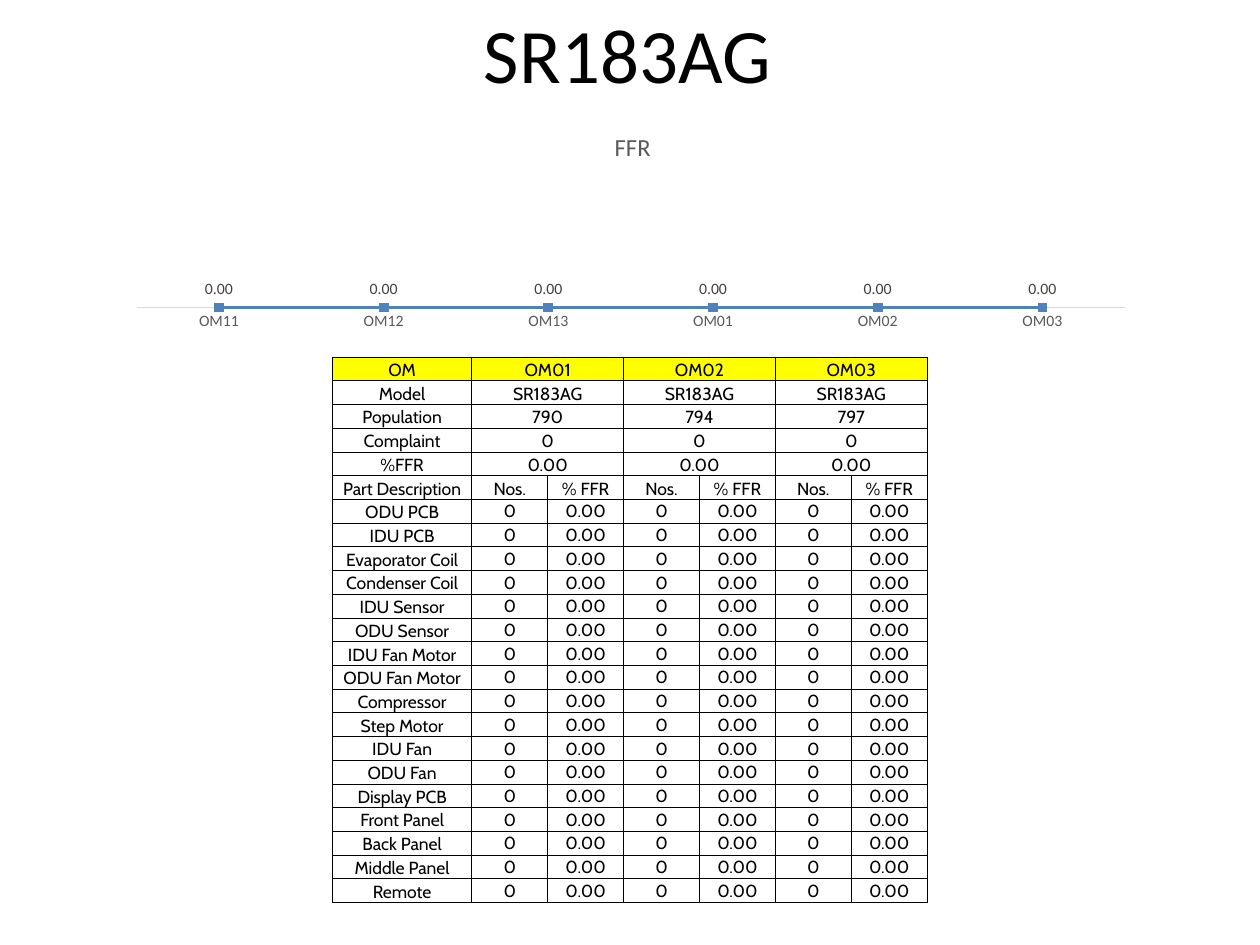
from dataclasses import dataclass

from lxml.etree import SubElement
from pptx import Presentation
from pptx.chart.data import CategoryChartData
from pptx.dml.color import RGBColor
from pptx.enum.chart import XL_CHART_TYPE, XL_LABEL_POSITION, XL_TICK_LABEL_POSITION, XL_TICK_MARK
from pptx.enum.text import MSO_ANCHOR, PP_ALIGN
from pptx.oxml import parse_xml
from pptx.oxml.ns import nsdecls, qn
from pptx.slide import Slide
from pptx.table import Table, _Cell
from pptx.text.text import Font, TextFrame
from pptx.util import Cm, Pt

BLACK = RGBColor(0x00, 0x00, 0x00)
DARK_GRAY = RGBColor(0x40, 0x40, 0x40)
GRAY = RGBColor(0x59, 0x59, 0x59)
LIGHT_GRAY = RGBColor(0xD9, 0xD9, 0xD9)
BLUE = RGBColor(0x4F, 0x81, 0xBD)
YELLOW = RGBColor(0xFF, 0xFF, 0x00)

MODEL = "SR183AG"
CHART_MONTHS = ["OM11", "OM12", "OM13", "OM01", "OM02", "OM03"]
PARTS = [
    "ODU PCB", "IDU PCB", "Evaporator Coil", "Condenser Coil", "IDU Sensor", "ODU Sensor",
    "IDU Fan Motor", "ODU Fan Motor", "Compressor", "Step Motor", "IDU Fan", "ODU Fan",
    "Display PCB", "Front Panel", "Back Panel", "Middle Panel", "Remote",
]
SUMMARY_LABELS = ["OM", "Model", "Population", "Complaint", "%FFR"]


@dataclass(frozen=True)
class Month:
    name: str
    population: int
    complaints: int = 0

    def summary(self) -> list[str]:
        rate = 100 * self.complaints / self.population
        return [self.name, MODEL, str(self.population), str(self.complaints), f"{rate:.2f}"]


MONTHS = [Month("OM01", 790), Month("OM02", 794), Month("OM03", 797)]


def style_font(font: Font, name: str, size: float, color: RGBColor) -> None:
    font.name = name
    font.size = Pt(size)
    font.bold = False
    font.color.rgb = color


def write_centered(frame: TextFrame, text: str, name: str, size: float, color: RGBColor) -> None:
    para = frame.paragraphs[0]
    para.alignment = PP_ALIGN.CENTER
    span = para.add_run()
    span.text = text
    style_font(span.font, name, size, color)


def add_title(page: Slide) -> None:
    box = page.shapes.add_textbox(Cm(1.22), Cm(0.43), Cm(22.86), Cm(1.27))
    frame = box.text_frame
    frame.word_wrap = True
    frame.vertical_anchor = MSO_ANCHOR.MIDDLE
    write_centered(frame, MODEL, "Calibri", 44, BLACK)


def manual_layout(**settings: object):
    """Build a chart layout element from its child names and values."""
    layout = parse_xml(f"<c:layout {nsdecls('c')}><c:manualLayout/></c:layout>")
    for tag, value in settings.items():
        SubElement(layout[0], qn(f"c:{tag}")).set("val", str(value))
    return layout


def add_rate_chart(page: Slide) -> None:
    chart_data = CategoryChartData(number_format="0.00")
    chart_data.categories = CHART_MONTHS
    chart_data.add_series("Series 1", [0] * len(CHART_MONTHS))
    chart = page.shapes.add_chart(
        XL_CHART_TYPE.LINE, Cm(2.34), Cm(2.11), Cm(20.75), Cm(4.65), chart_data
    ).chart
    style_font(chart.font, "Calibri", 10, BLACK)
    chart.has_legend = False

    chart.has_title = True
    write_centered(chart.chart_title.text_frame, "FFR", "Calibri", 14, GRAY)
    chart.chart_title.include_in_layout = False
    title = chart.chart_title._element
    for old_layout in title.findall(qn("c:layout")):
        title.remove(old_layout)
    title.find(qn("c:tx")).addnext(manual_layout(xMode="edge", yMode="edge", x=0.48, y=0.09))

    plot_area = chart._chartSpace.chart.plotArea
    for old_layout in plot_area.findall(qn("c:layout")):
        plot_area.remove(old_layout)
    plot_area.insert(0, manual_layout(
        layoutTarget="inner", xMode="edge", yMode="edge", x=0.02, y=0.3, w=0.96, h=0.58
    ))

    value_axis = chart.value_axis
    value_axis.minimum_scale = 0
    value_axis.maximum_scale = 1
    value_axis.has_major_gridlines = False
    value_axis.tick_labels.number_format = "0.00"
    value_axis.tick_labels.number_format_is_linked = False
    value_axis.visible = False

    month_axis = chart.category_axis
    month_axis.major_tick_mark = XL_TICK_MARK.NONE
    month_axis.minor_tick_mark = XL_TICK_MARK.NONE
    month_axis.tick_label_position = XL_TICK_LABEL_POSITION.NEXT_TO_AXIS
    month_axis.format.line.color.rgb = LIGHT_GRAY
    month_axis.format.line.width = Pt(0.75)
    style_font(month_axis.tick_labels.font, "Calibri", 9, GRAY)

    plot = chart.plots[0]
    plot.vary_by_categories = False
    series = plot.series[0]
    series.smooth = False
    series.marker.style = None
    series.format.line.color.rgb = BLUE
    series.format.line.width = Pt(2.25)
    series.format.line._get_or_add_ln().set("cap", "rnd")
    labels = series.data_labels
    labels.show_value = True
    labels.position = XL_LABEL_POSITION.ABOVE
    labels.number_format = "0.00"
    labels.number_format_is_linked = False
    style_font(labels.font, "Calibri", 9, DARK_GRAY)


def format_cell(cell: _Cell, is_header: bool) -> None:
    properties = cell._tc.get_or_add_tcPr()
    for side in ("lnL", "lnR", "lnT", "lnB"):
        properties.append(parse_xml(
            f'<a:{side} {nsdecls("a")} w="{Pt(0.5)}"><a:solidFill>'
            f'<a:srgbClr val="{BLACK}"/></a:solidFill></a:{side}>'
        ))
    if is_header:
        cell.fill.solid()
        cell.fill.fore_color.rgb = YELLOW
    else:
        cell.fill.background()
    cell.margin_left = cell.margin_right = cell.margin_top = Cm(0.02)
    cell.margin_bottom = 0


def write_cell(table: Table, row: int, column: int, text: str,
               anchor: MSO_ANCHOR = MSO_ANCHOR.BOTTOM) -> None:
    cell = table.cell(row, column)
    cell.vertical_anchor = anchor
    write_centered(cell.text_frame, text, "Cabin", 10, BLACK)


def add_parts_table(page: Slide) -> None:
    labels = SUMMARY_LABELS + ["Part Description"] + PARTS
    heading_row = len(SUMMARY_LABELS)
    column_count = 1 + 2 * len(MONTHS)
    table = page.shapes.add_table(
        len(labels), column_count, Cm(6.7), Cm(7.2), Cm(12), Cm(11)
    ).table
    table.first_row = False
    table.horz_banding = False
    for index, column in enumerate(table.columns):
        column.width = Cm(1.53) if index else Cm(2.81)

    for row, label in enumerate(labels):
        for column in range(column_count):
            format_cell(table.cell(row, column), row == 0)
        write_cell(table, row, 0, label)

    for index, month in enumerate(MONTHS):
        left = 1 + 2 * index
        for row, text in enumerate(month.summary()):
            table.cell(row, left).merge(table.cell(row, left + 1))
            write_cell(table, row, left, text)
        write_cell(table, heading_row, left, "Nos.")
        write_cell(table, heading_row, left + 1, "% FFR")
        for row in range(heading_row + 1, len(labels)):
            write_cell(table, row, left, "0", MSO_ANCHOR.MIDDLE)
            write_cell(table, row, left + 1, "0.00", MSO_ANCHOR.MIDDLE)


def main() -> None:
    deck = Presentation()
    deck.slide_width = Cm(25.4)
    deck.slide_height = Cm(19.05)
    page = deck.slides.add_slide(deck.slide_layouts[6])
    add_title(page)
    add_parts_table(page)
    add_rate_chart(page)
    deck.save("out.pptx")


if __name__ == "__main__":
    main()
